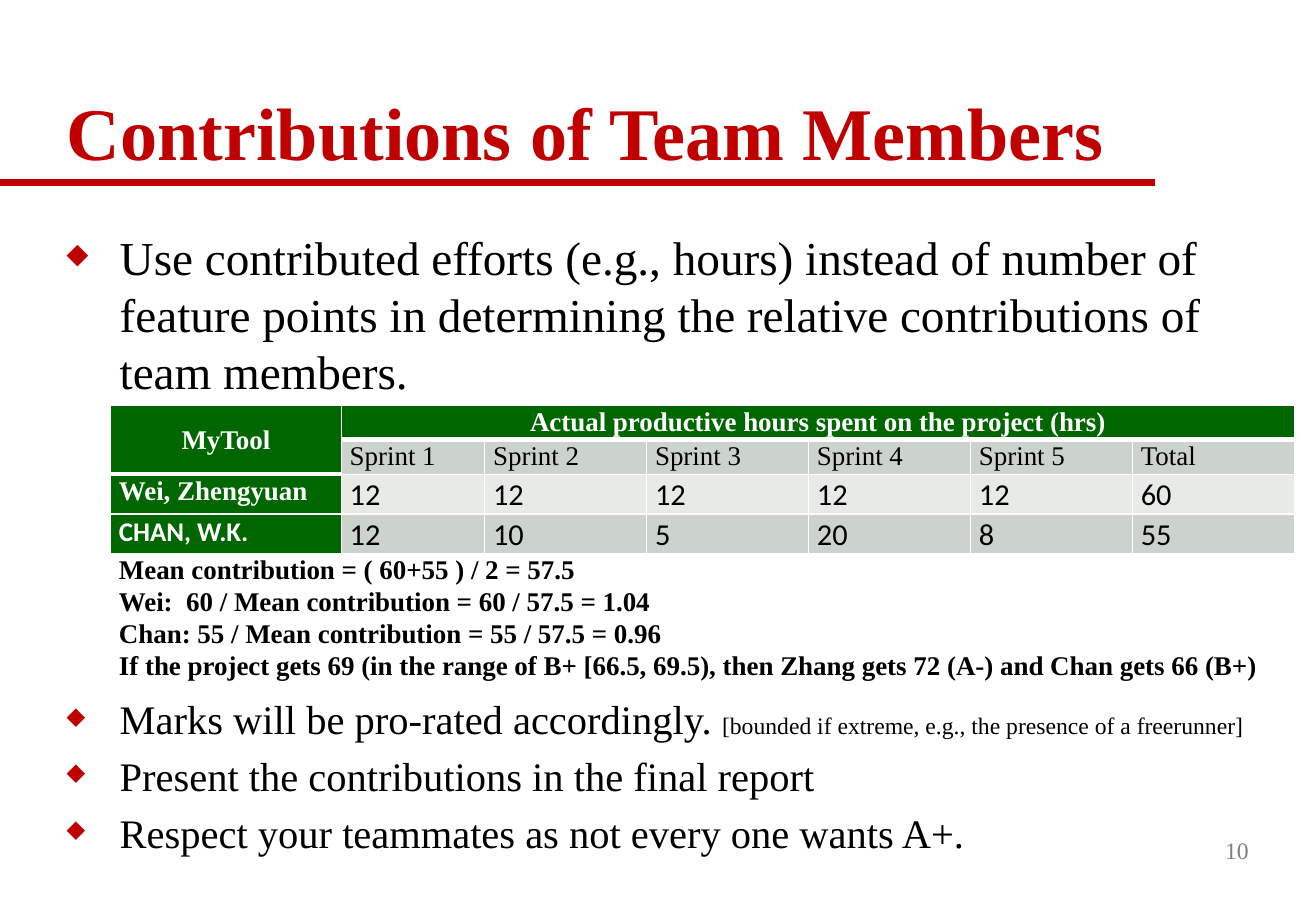
from dataclasses import dataclass

from lxml import etree
from pptx import Presentation
from pptx.dml.color import RGBColor
from pptx.enum.shapes import MSO_CONNECTOR
from pptx.enum.text import MSO_ANCHOR, PP_ALIGN
from pptx.oxml.ns import qn
from pptx.util import Pt

STRAIGHT = MSO_CONNECTOR.STRAIGHT
TOP, MIDDLE, BOTTOM = MSO_ANCHOR.TOP, MSO_ANCHOR.MIDDLE, MSO_ANCHOR.BOTTOM
LEFT, CENTER, RIGHT = PP_ALIGN.LEFT, PP_ALIGN.CENTER, PP_ALIGN.RIGHT


@dataclass(frozen=True)
class Theme:
    red: str = "C00000"
    green: str = "006600"
    band_dark: str = "CCD3CC"
    band_light: str = "E7EAE7"
    gray: str = "808080"
    black: str = "000000"
    white: str = "FFFFFF"
    serif: str = "Times New Roman"
    sans: str = "Calibri"
    title: int = 44
    lead: int = 28
    point: int = 24
    hours: int = 18
    label: int = 16
    small: int = 14


T = Theme()

COLUMNS = [136.8, 85] + [96] * 5
ROWS = [19, 19, 23.5, 23.5, 79]
HEADINGS = ["Sprint 1", "Sprint 2", "Sprint 3", "Sprint 4", "Sprint 5", "Total"]
MEMBERS = [
    ("Wei, Zhengyuan", T.serif, T.band_light, [12, 12, 12, 12, 12, 60]),
    ("CHAN, W.K.", T.sans, T.band_dark, [12, 10, 5, 20, 8, 55]),
]
CALCULATION = [
    "Mean contribution = ( 60+55 ) / 2 = 57.5",
    "Wei:  60 / Mean contribution = 60 / 57.5 = 1.04",
    "Chan: 55 / Mean contribution = 55 / 57.5 = 0.96",
    "If the project gets 69 (in the range of B+ [66.5, 69.5), "
    "then Zhang gets 72 (A-) and Chan gets 66 (B+)",
]
LEAD = ("Use contributed efforts (e.g., hours) instead of number of feature points "
        "in determining the relative contributions of team members.")
POINTS = [
    "Marks will be pro-rated accordingly. ",
    "Present the contributions in the final report",
    "Respect your teammates as not every one wants A+.",
]
ASIDE = "[bounded if extreme, e.g., the presence of a freerunner]"


def add_run(p, text, size=T.label, color=T.black, font=T.serif, bold=False):
    r = p.add_run()
    r.text = text
    r.font.size = Pt(size)
    r.font.name = font
    r.font.bold = bold
    r.font.color.rgb = RGBColor.from_string(color)


def write(tf, lines, align=LEFT, spacing=None, **style):
    """Put each line in its own paragraph and return the paragraphs."""
    paragraphs = []
    for i, line in enumerate(lines):
        p = tf.add_paragraph() if i else tf.paragraphs[0]
        p.alignment = align
        p.line_spacing = spacing
        add_run(p, line, **style)
        paragraphs.append(p)
    return paragraphs


def add_text(slide, box, lines, anchor=TOP, **style):
    tf = slide.shapes.add_textbox(*map(Pt, box)).text_frame
    tf.word_wrap = True
    tf.vertical_anchor = anchor
    return write(tf, lines, **style)


def add_bullets(slide, box, lines, size):
    paragraphs = add_text(slide, box, lines, size=size)
    for p in paragraphs:
        p.space_before = Pt(size * 0.2)
        pPr = p._p.get_or_add_pPr()
        pPr.set("marL", str(Pt(31.5)))
        pPr.set("indent", str(Pt(-31.5)))
        color = etree.SubElement(pPr, qn("a:buClr"))
        etree.SubElement(color, qn("a:srgbClr"), val=T.red)
        etree.SubElement(pPr, qn("a:buSzPct"), val="60000")
        etree.SubElement(pPr, qn("a:buChar"), char="◆")
    return paragraphs


def add_rule(slide, x1, x2, y):
    line = slide.shapes.add_connector(STRAIGHT, Pt(x1), Pt(y), Pt(x2), Pt(y))
    line.line.color.rgb = RGBColor.from_string(T.red)
    line.line.width = Pt(4)
    etree.SubElement(line._element.spPr, qn("a:effectLst"))


def set_borders(cell, bottom):
    """Draw white borders; they must precede the fill in the cell properties."""
    tcPr = cell._tc.get_or_add_tcPr()
    for side, width in (("L", 1), ("R", 1), ("T", 1), ("B", bottom)):
        ln = etree.SubElement(tcPr, qn(f"a:ln{side}"), w=str(Pt(width)))
        fill = etree.SubElement(ln, qn("a:solidFill"))
        etree.SubElement(fill, qn("a:srgbClr"), val=T.white)


def fill_cell(cell, lines, fill, anchor=TOP, **style):
    cell.fill.solid()
    cell.fill.fore_color.rgb = RGBColor.from_string(fill)
    cell.vertical_anchor = anchor
    write(cell.text_frame, lines, spacing=1.07, **style)


def add_hours_table(slide, left, top):
    table = slide.shapes.add_table(len(ROWS), len(COLUMNS), Pt(left), Pt(top),
                                   Pt(sum(COLUMNS)), Pt(sum(ROWS))).table
    for column, width in zip(table.columns, COLUMNS):
        column.width = Pt(width)
    for i, (row, height) in enumerate(zip(table.rows, ROWS)):
        row.height = Pt(height)
        for j, cell in enumerate(row.cells):
            cell.margin_left = cell.margin_right = Pt(5)
            cell.margin_top = cell.margin_bottom = 0
            set_borders(cell, 3 if i == 0 or (i, j) == (1, 0) else 1)

    last = len(COLUMNS) - 1
    table.cell(0, 0).merge(table.cell(1, 0))
    table.cell(0, 1).merge(table.cell(0, last))
    table.cell(4, 0).merge(table.cell(4, last))

    header = dict(fill=T.green, color=T.white, bold=True)
    fill_cell(table.cell(0, 0), ["MyTool"], anchor=MIDDLE, align=CENTER, **header)
    fill_cell(table.cell(0, 1), ["Actual productive hours spent on the project (hrs)"],
              align=CENTER, **header)
    for j, heading in enumerate(HEADINGS, 1):
        fill_cell(table.cell(1, j), [heading], T.band_dark)
    for i, (name, font, band, hours) in enumerate(MEMBERS, 2):
        fill_cell(table.cell(i, 0), [name], font=font, **header)
        for j, value in enumerate(hours, 1):
            fill_cell(table.cell(i, j), [str(value)], band, size=T.hours, font=T.sans)
    fill_cell(table.cell(4, 0), CALCULATION, T.white, bold=True)


def main():
    prs = Presentation()
    prs.slide_width, prs.slide_height = Pt(780), Pt(540)
    slide = prs.slides.add_slide(prs.slide_layouts[6])

    add_rule(slide, 0, 684.7, 108)
    add_text(slide, (32.4, 21, 711.4, 87), ["Contributions of Team Members"],
             anchor=BOTTOM, spacing=0.9, size=T.title, color=T.red, bold=True)
    add_bullets(slide, (32.4, 131.8, 741.6, 110), [LEAD], T.lead)
    points = add_bullets(slide, (32.4, 408, 741.6, 114), POINTS, T.point)
    add_run(points[0], ASIDE, size=T.small)
    add_text(slide, (584.6, 486, 162.7, 36), ["10"], anchor=MIDDLE,
             align=RIGHT, size=T.small, color=T.gray)
    add_hours_table(slide, 65.5, 240)

    prs.save("out.pptx")


if __name__ == "__main__":
    main()
